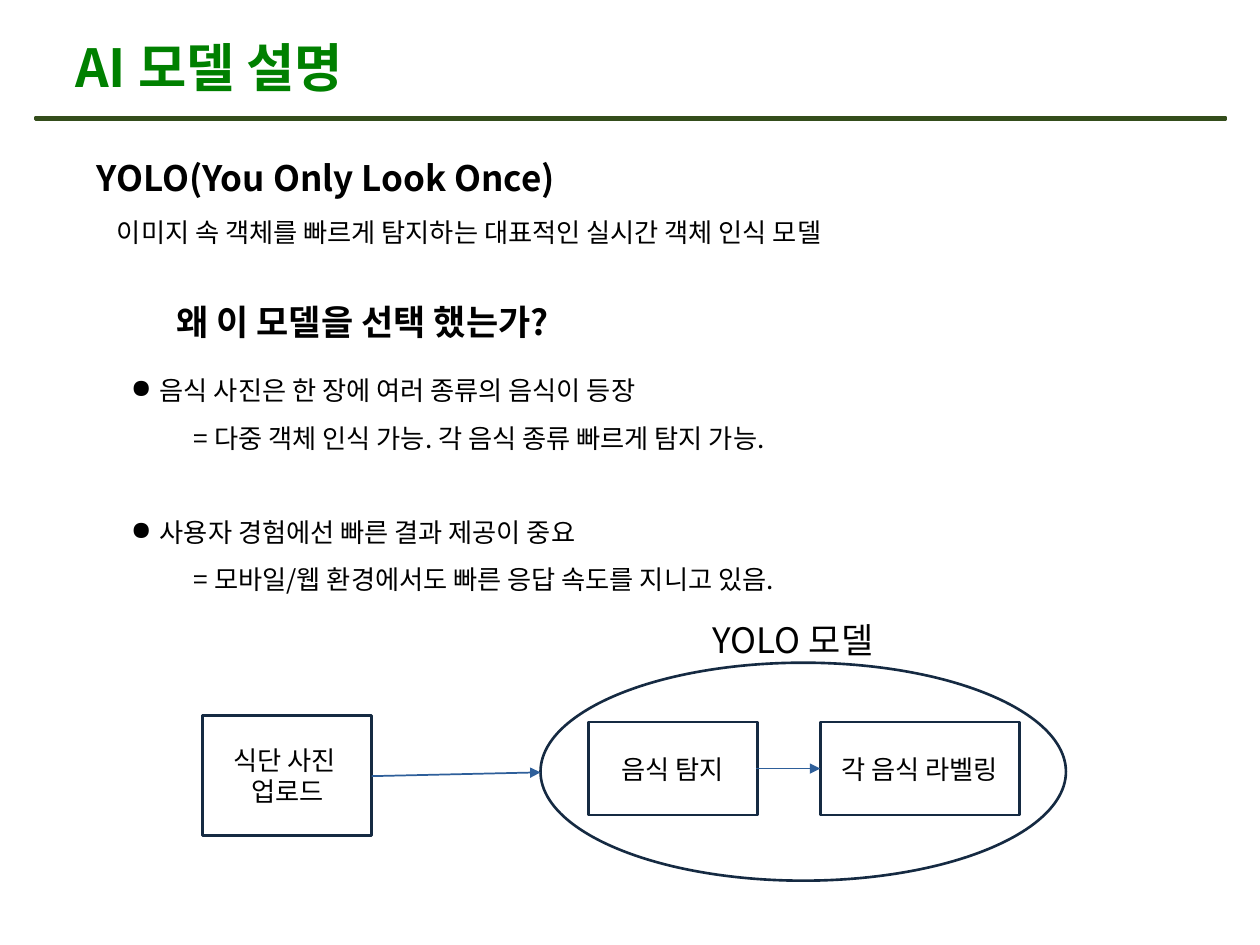
from lxml import etree
from pptx import Presentation
from pptx.dml.color import RGBColor
from pptx.enum.shapes import MSO_CONNECTOR, MSO_SHAPE
from pptx.enum.text import MSO_ANCHOR, PP_ALIGN
from pptx.oxml.ns import qn
from pptx.util import Inches, Pt

RECTANGLE, OVAL = MSO_SHAPE.RECTANGLE, MSO_SHAPE.OVAL
STRAIGHT = MSO_CONNECTOR.STRAIGHT
TOP, MIDDLE = MSO_ANCHOR.TOP, MSO_ANCHOR.MIDDLE
LEFT, CENTER = PP_ALIGN.LEFT, PP_ALIGN.CENTER

BLACK = RGBColor(0, 0, 0)
WHITE = RGBColor(0xFF, 0xFF, 0xFF)
TITLE_GREEN = RGBColor(0x00, 0x80, 0x00)
RULE_FILL = RGBColor(0x69, 0x9B, 0x37)
RULE_EDGE = RGBColor(0x34, 0x4D, 0x1B)
NAVY = RGBColor(0x15, 0x2A, 0x42)
BLUE = RGBColor(0x2E, 0x5F, 0x9A)
FONT = "Noto Sans CJK KR"

TITLE = {"size": Pt(30), "bold": True}
HEADING = {"size": Pt(20), "bold": True}
LABEL = {"size": Pt(20), "bold": False}
BODY = {"size": Pt(15), "bold": False}

TEXTS = [
    ("AI 모델 설명", (0.5, 0.3, 6.67, 0.46), TITLE, TITLE_GREEN, MIDDLE, 1.0),
    ("YOLO(You Only Look Once)", (0.67, 1.03, 8.58, 0.59), HEADING, BLACK, TOP, 1.5),
    ("이미지 속 객체를 빠르게 탐지하는 대표적인 실시간 객체 인식 모델",
     (0.83, 1.54, 8.43, 0.47), BODY, BLACK, TOP, 1.5),
    ("왜 이 모델을 선택 했는가?", (1.3, 2.17, 8.23, 0.6), HEADING, BLACK, TOP, 1.5),
]
REASONS_BOX = (0.94, 2.8, 8.43, 1.97)
REASONS = [
    ("음식 사진은 한 장에 여러 종류의 음식이 등장",
     "= 다중 객체 인식 가능. 각 음식 종류 빠르게 탐지 가능."),
    ("사용자 경험에선 빠른 결과 제공이 중요",
     "= 모바일/웹 환경에서도 빠른 응답 속도를 지니고 있음."),
]
REASON_GAP = Pt(27)
RULE = (0.28, 0.93, 9.45, 0.02)
STEPS = [
    (["식단 사진 ", "업로드"], (1.61, 5.68, 1.34, 0.95), NAVY, BODY),
    (["YOLO 모델"], (5.47, 4.77, 1.65, 0.61), WHITE, LABEL),
    (["음식 탐지"], (4.67, 5.73, 1.34, 0.74), NAVY, BODY),
    (["각 음식 라벨링"], (6.51, 5.73, 1.58, 0.74), NAVY, BODY),
]
MODEL_OVAL = (4.29, 5.26, 4.17, 1.73)
ARROWS = [(6.0, 6.1, 6.51, 6.1), (2.95, 6.16, 4.29, 6.13)]


def inches(values):
    return [Inches(value) for value in values]


def write(paragraph, text, style, color=BLACK, align=LEFT, spacing=1.0):
    paragraph.alignment = align
    paragraph.line_spacing = spacing
    run = paragraph.add_run()
    run.text = text
    for name, value in {"name": FONT, **style}.items():
        setattr(run.font, name, value)
    run.font.color.rgb = color
    east_asian = etree.SubElement(run.font._element, qn("a:ea"))
    east_asian.set("typeface", FONT)


def next_paragraph(frame, index):
    return frame.add_paragraph() if index else frame.paragraphs[0]


def add_text_frame(slide, box, anchor=TOP):
    frame = slide.shapes.add_textbox(*inches(box)).text_frame
    frame.word_wrap = True
    frame.vertical_anchor = anchor
    return frame


def indent(paragraph, left, first=0, bullet=None):
    properties = paragraph._p.get_or_add_pPr()
    properties.set("marL", str(Inches(left)))
    properties.set("indent", str(Inches(first)))
    if bullet:
        color = etree.SubElement(properties, qn("a:buClr"))
        etree.SubElement(color, qn("a:srgbClr")).set("val", str(BLACK))
        etree.SubElement(properties, qn("a:buChar")).set("char", bullet)


def add_reasons(slide):
    frame = add_text_frame(slide, REASONS_BOX)
    for index, (reason, answer) in enumerate(REASONS):
        paragraph = next_paragraph(frame, index)
        if index:
            paragraph.space_before = REASON_GAP
        write(paragraph, reason, BODY, spacing=1.5)
        indent(paragraph, 0.23, -0.23, "●")
        paragraph = frame.add_paragraph()
        paragraph.level = 1
        write(paragraph, answer, BODY, spacing=1.5)
        indent(paragraph, 0.5)


def add_outline(slide, kind, box, edge, fill=None):
    shape = slide.shapes.add_shape(kind, *inches(box))
    shape.shadow.inherit = False
    if fill is None:
        shape.fill.background()
    else:
        shape.fill.solid()
        shape.fill.fore_color.rgb = fill
    shape.line.color.rgb = edge
    shape.line.width = Pt(1.5)
    return shape


def add_step(slide, lines, box, edge, style):
    frame = add_outline(slide, RECTANGLE, box, edge, WHITE).text_frame
    frame.word_wrap = True
    frame.vertical_anchor = MIDDLE
    for index, line in enumerate(lines):
        write(next_paragraph(frame, index), line, style, align=CENTER)


def add_arrow(slide, points):
    arrow = slide.shapes.add_connector(STRAIGHT, *inches(points))
    arrow.line.color.rgb = BLUE
    arrow.line.width = Pt(1)
    etree.SubElement(arrow.line._get_or_add_ln(), qn("a:tailEnd")).set("type", "triangle")
    etree.SubElement(arrow._element.spPr, qn("a:effectLst"))


def main():
    presentation = Presentation()
    presentation.slide_width = Inches(10)
    presentation.slide_height = Inches(7.5)
    slide = presentation.slides.add_slide(presentation.slide_layouts[6])

    add_outline(slide, RECTANGLE, RULE, RULE_EDGE, RULE_FILL)
    for text, box, style, color, anchor, spacing in TEXTS:
        frame = add_text_frame(slide, box, anchor)
        write(frame.paragraphs[0], text, style, color, spacing=spacing)
    add_reasons(slide)
    for step in STEPS:
        add_step(slide, *step)
    add_outline(slide, OVAL, MODEL_OVAL, NAVY)
    for points in ARROWS:
        add_arrow(slide, points)

    presentation.save("out.pptx")


if __name__ == "__main__":
    main()
